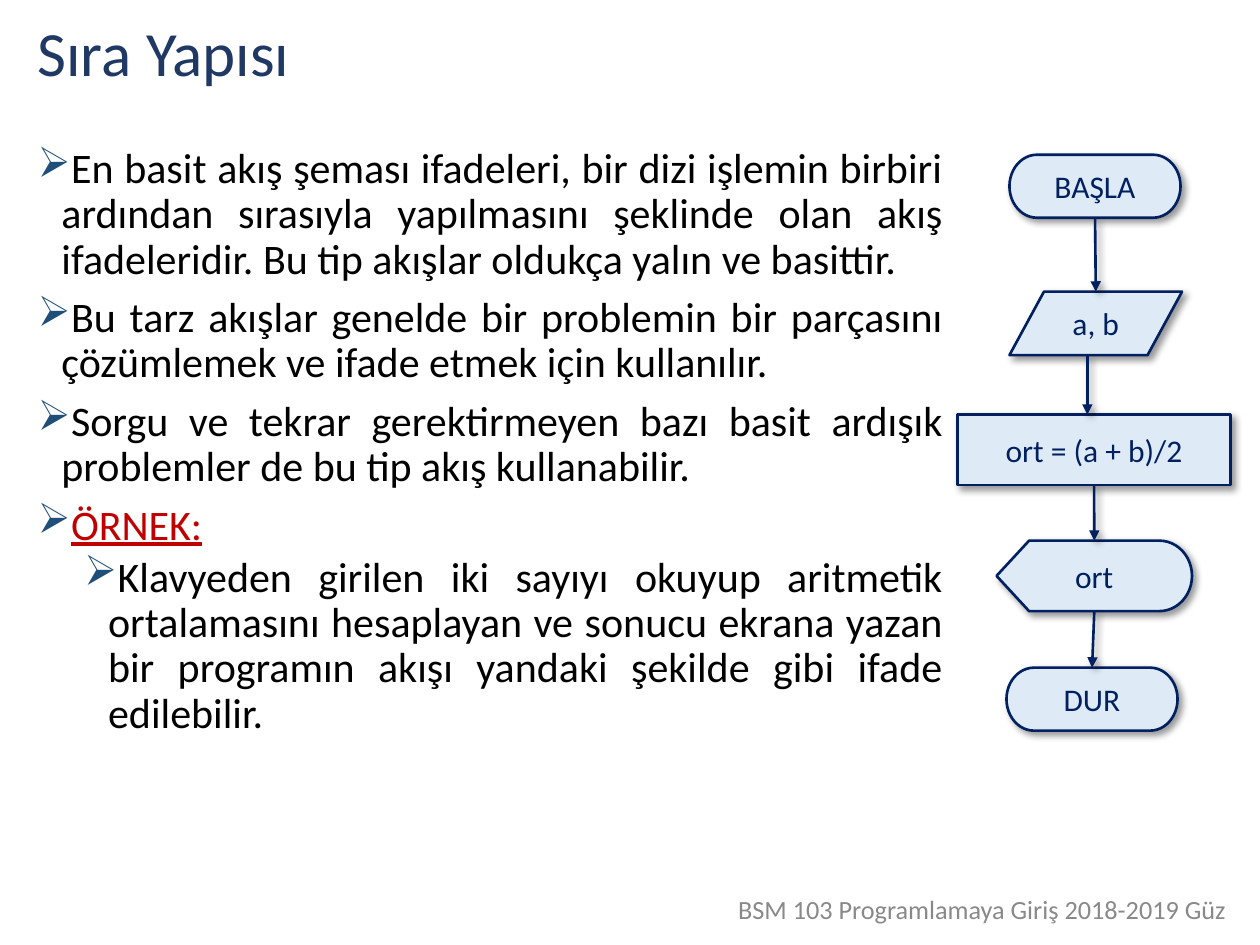
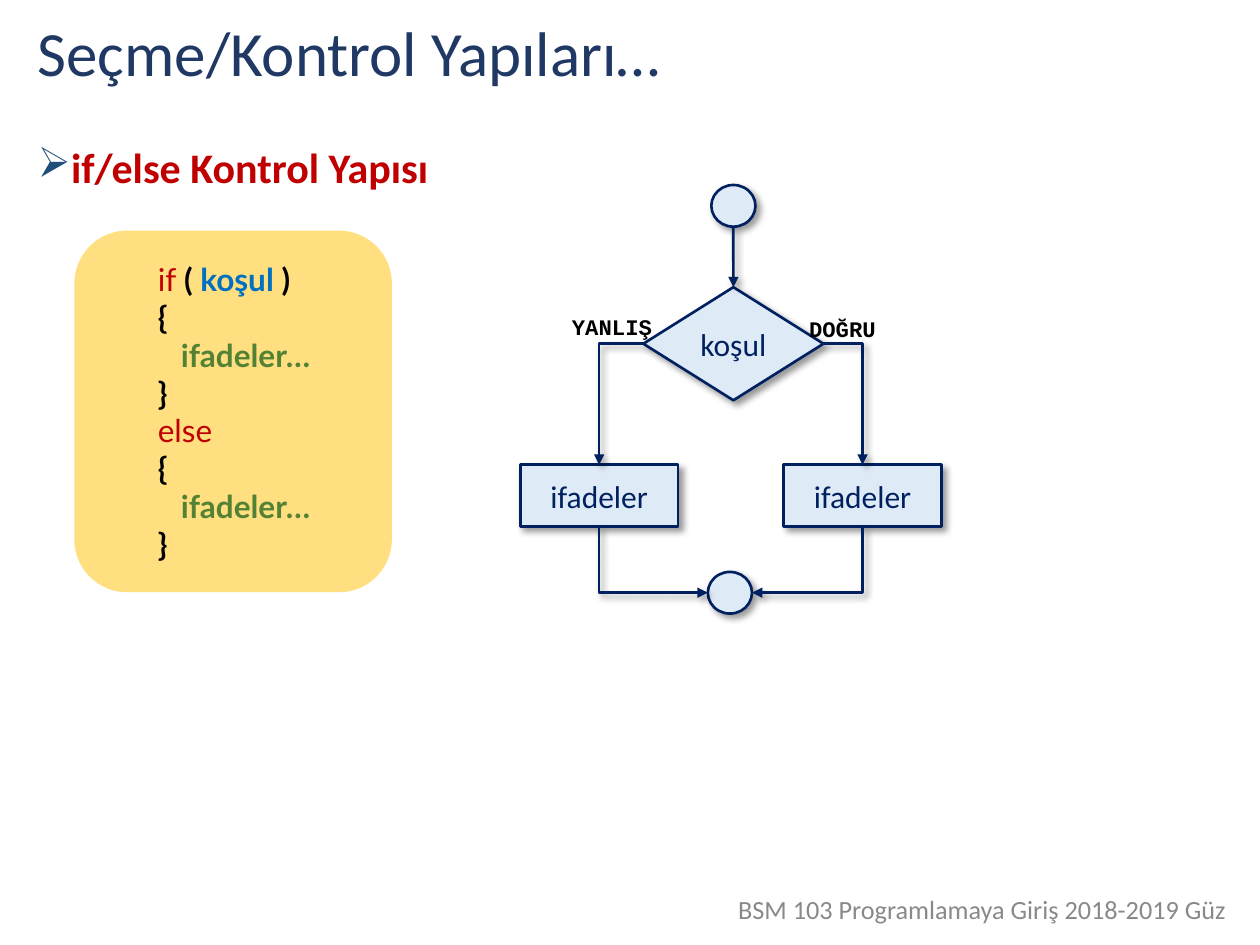
from lxml import etree
from pptx import Presentation
from pptx.dml.color import RGBColor
from pptx.enum.shapes import MSO_CONNECTOR as Line, MSO_SHAPE as Shape
from pptx.enum.text import MSO_ANCHOR as Anchor, PP_ALIGN as Align
from pptx.oxml import parse_xml
from pptx.oxml.ns import nsdecls, qn
from pptx.util import Cm, Pt

BLACK = RGBColor(0x00, 0x00, 0x00)
GRAY = RGBColor(0x89, 0x89, 0x89)
TITLE_BLUE = RGBColor(0x20, 0x38, 0x64)
BULLET_BLUE = RGBColor(0x1F, 0x4E, 0x79)
NAVY = RGBColor(0x00, 0x20, 0x60)
PALE_BLUE = RGBColor(0xDE, 0xEB, 0xF7)
RED = RGBColor(0xC0, 0x00, 0x00)
BLUE = RGBColor(0x00, 0x70, 0xC0)
GREEN = RGBColor(0x54, 0x82, 0x35)
AMBER = RGBColor(0xFF, 0xC0, 0x00)

TOP, LEFT, BOTTOM, RIGHT = range(4)
NO_MARGINS = dict(margin_left=0, margin_right=0, margin_top=0, margin_bottom=0)
FOOTER = "BSM 103 Programlamaya Giriş 2018-2019 Güz"


def assign(target, values):
    """Set every attribute in values on target."""
    for name, value in values.items():
        setattr(target, name, value)


class Deck:
    """Hold the shared style and the current slide."""

    def __init__(self):
        """Start an empty 4:3 presentation."""
        self.show = Presentation()
        assign(self.show, dict(slide_width=Cm(25.4), slide_height=Cm(19.05)))
        self.slide = None

    def new_slide(self, title):
        """Add a slide with its title and the footer."""
        self.slide = self.show.slides.add_slide(self.show.slide_layouts[6])
        footer = self.text_box(14.3, 17.88, 11, 0.71)
        self.add_text(footer.paragraphs[0], [(FOOTER, {})], GRAY, 15, alignment=Align.CENTER)
        heading = self.text_box(0.51, 0.33, 24.41, 1.6, vertical_anchor=Anchor.MIDDLE)
        self.add_text(heading.paragraphs[0], [(title, {})], TITLE_BLUE, 36, line_spacing=0.9)

    def text_box(self, left, top, width, height, **frame_format):
        """Add a wrapping text box and return its frame."""
        box = self.slide.shapes.add_textbox(Cm(left), Cm(top), Cm(width), Cm(height))
        assign(box.text_frame, {"word_wrap": True, **frame_format})
        return box.text_frame

    def add_text(self, paragraph, pieces, color=BLACK, size=18, font="Calibri", **layout):
        """Put (text, format) pieces into a paragraph."""
        assign(paragraph, layout)
        for text, values in pieces:
            run = paragraph.add_run()
            run.text = text
            values = dict(values)
            run.font.color.rgb = values.pop("color", color)
            assign(run.font, {"name": font, "size": Pt(size), **values})

    def paragraphs(self, frame, count):
        """Return count paragraphs of a new frame."""
        return [frame.paragraphs[0]] + [frame.add_paragraph() for _ in range(count - 1)]

    def bullets(self, items, alignment):
        """Add the body list from (level, text, format) items."""
        frame = self.text_box(0.51, 2.84, 18.75, 13.89)
        for index, (paragraph, item) in enumerate(zip(self.paragraphs(frame, len(items)), items)):
            level, text, values = item
            indent = paragraph._p.get_or_add_pPr()
            indent.set("marL", str(Cm((0.48, 1.42)[level])))
            indent.set("indent", str(-Cm(0.48)))
            color = etree.SubElement(indent, qn("a:buClr"))
            etree.SubElement(color, qn("a:srgbClr"), val=str(BULLET_BLUE))
            etree.SubElement(indent, qn("a:buChar"), char="➢")
            before = Pt((7.5, 3.8)[level]) if index else Pt(0)
            self.add_text(paragraph, [(text, values)], size=24, alignment=alignment,
                          line_spacing=0.9, space_before=before)

    def code_panel(self, left, top, width, height, lines):
        """Add a rounded translucent panel with code lines."""
        panel = self.slide.shapes.add_shape(
            Shape.ROUNDED_RECTANGLE, Cm(left), Cm(top), Cm(width), Cm(height))
        panel.shadow.inherit = False
        panel.fill.solid()
        panel.fill.fore_color.rgb = AMBER
        fill_color = panel._element.spPr.find(qn("a:solidFill"))[0]
        etree.SubElement(fill_color, qn("a:alpha"), val="50000")
        panel.line.fill.background()
        assign(panel.text_frame, dict(word_wrap=True, vertical_anchor=Anchor.MIDDLE,
                                      margin_left=Cm(0.1), margin_right=Cm(0.1)))
        for paragraph, pieces in zip(self.paragraphs(panel.text_frame, len(lines)), lines):
            paragraph._p.get_or_add_pPr().set("marL", str(Cm(1.27)))
            self.add_text(paragraph, pieces, font="Lato", alignment=Align.LEFT)

    def outline(self, drawn):
        """Give a flowchart part its navy line and soft shadow."""
        drawn.line.color.rgb = NAVY
        drawn.line.width = Pt(1.5)
        drawn._element.spPr.append(parse_xml(
            f'<a:effectLst {nsdecls("a")}><a:outerShdw blurRad="{Pt(4)}" dist="{Pt(3)}" '
            'dir="2700000" algn="tl" rotWithShape="0"><a:srgbClr val="000000">'
            '<a:alpha val="40000"/></a:srgbClr></a:outerShdw></a:effectLst>'))

    def node(self, kind, left, top, width, height, text="", **frame_format):
        """Add a flowchart node and return it."""
        node = self.slide.shapes.add_shape(kind, Cm(left), Cm(top), Cm(width), Cm(height))
        node.fill.solid()
        node.fill.fore_color.rgb = PALE_BLUE
        self.outline(node)
        assign(node.text_frame, {"vertical_anchor": Anchor.MIDDLE, **frame_format})
        if text:
            self.add_text(node.text_frame.paragraphs[0], [(text, {})], NAVY,
                          alignment=Align.CENTER)
        return node

    def arrow(self, ends, start=None, finish=None, bent=False, head="tailEnd"):
        """Add an arrow between two points, joined to (node, side) pairs."""
        kind = Line.ELBOW if bent else Line.STRAIGHT
        arrow = self.slide.shapes.add_connector(kind, *map(Cm, ends))
        if start:
            arrow.begin_connect(*start)
        if finish:
            arrow.end_connect(*finish)
        if bent:
            arrow._element.spPr.find(qn("a:prstGeom")).set("prst", "bentConnector2")
        self.outline(arrow)
        stroke = arrow._element.spPr.find(qn("a:ln"))
        etree.SubElement(stroke, qn(f"a:{head}"), type="triangle")

    def label(self, left, top, width, height, text):
        """Add a branch label."""
        frame = self.text_box(left, top, width, height, **NO_MARGINS)
        self.add_text(frame.paragraphs[0], [(text, {"bold": True})], size=12.7,
                      font="Courier New")


def sequence_slide(deck):
    """Build the slide on the sequence structure."""
    deck.new_slide("Sıra Yapısı")
    deck.bullets([
        (0, "En basit akış şeması ifadeleri, bir dizi işlemin birbiri ardından sırasıyla "
            "yapılmasını şeklinde olan akış ifadeleridir. Bu tip akışlar oldukça yalın ve "
            "basittir.", {}),
        (0, "Bu tarz akışlar genelde bir problemin bir parçasını çözümlemek ve ifade etmek "
            "için kullanılır.", {}),
        (0, "Sorgu ve tekrar gerektirmeyen bazı basit ardışık problemler de bu tip akış "
            "kullanabilir.", {}),
        (0, "ÖRNEK:", dict(color=RED, underline=True)),
        (1, "Klavyeden girilen iki sayıyı okuyup aritmetik ortalamasını hesaplayan ve sonucu "
            "ekrana yazan bir programın akışı yandaki şekilde gibi ifade edilebilir.", {}),
    ], Align.JUSTIFY)

    deck.node(Shape.FLOWCHART_DATA, 20.35, 5.88, 3.48, 1.28, "a, b")
    average = deck.node(Shape.RECTANGLE, 19.3, 8.36, 5.51, 1.42, "ort = (a + b)/2")
    begin = deck.node(Shape.FLOWCHART_TERMINATOR, 20.35, 3.12, 3.45, 1.27, "BAŞLA")
    output = deck.node(Shape.FLOWCHART_DISPLAY, 20.09, 10.9, 3.94, 1.42, "ort")
    stop = deck.node(Shape.FLOWCHART_TERMINATOR, 20.29, 13.46, 3.45, 1.27, "DUR")

    deck.arrow((22.08, 4.39, 22.09, 5.88), start=(begin, BOTTOM))
    deck.arrow((21.92, 7.16, 21.92, 8.36))
    deck.arrow((22.06, 9.78, 22.06, 10.9), (average, BOTTOM), (output, TOP))
    deck.arrow((22.06, 12.32, 22.02, 13.46), (output, BOTTOM), (stop, TOP))


def selection_slide(deck):
    """Build the slide on the if/else structure."""
    deck.new_slide("Seçme/Kontrol Yapıları…")
    deck.bullets([(0, "if/else Kontrol Yapısı", dict(color=RED, bold=True))], Align.LEFT)

    bold = dict(bold=True)
    block = [[("{", bold)], [("   ifadeler…", dict(bold=True, color=GREEN))], [("}", bold)]]
    condition = [("if", dict(color=RED)), (" ( ", bold),
                 ("koşul", dict(bold=True, color=BLUE)), (" )", bold)]
    deck.code_panel(1.5, 4.65, 6.4, 7.29,
                    [condition, *block, [("else", dict(color=RED))], *block])

    test = deck.node(Shape.DIAMOND, 12.97, 5.79, 3.63, 2.28, "koşul",
                     margin_left=0, margin_right=0)
    deck.node(Shape.OVAL, 14.34, 3.73, 0.89, 0.84)
    deck.node(Shape.OVAL, 14.27, 11.53, 0.89, 0.84)
    deck.arrow((14.78, 4.57, 14.78, 5.79), finish=(test, TOP))

    for left, side, join_x in ((10.49, LEFT, 14.27), (15.8, RIGHT, 15.16)):
        branch = deck.node(Shape.RECTANGLE, left, 9.37, 3.18, 1.25, "ifadeler")
        middle = left + 1.59
        deck.arrow((14.78, 6.93, middle, 9.37), (test, side), (branch, TOP), bent=True)
        deck.arrow((join_x, 11.95, middle, 10.62), finish=(branch, BOTTOM),
                   bent=True, head="headEnd")

    deck.label(16.31, 6.35, 1.73, 0.46, "DOĞRU")
    deck.label(11.53, 6.32, 2.01, 0.53, "YANLIŞ")


def main():
    """Build and save the slides."""
    deck = Deck()
    sequence_slide(deck)
    selection_slide(deck)
    deck.show.save("out.pptx")


if __name__ == "__main__":
    main()
